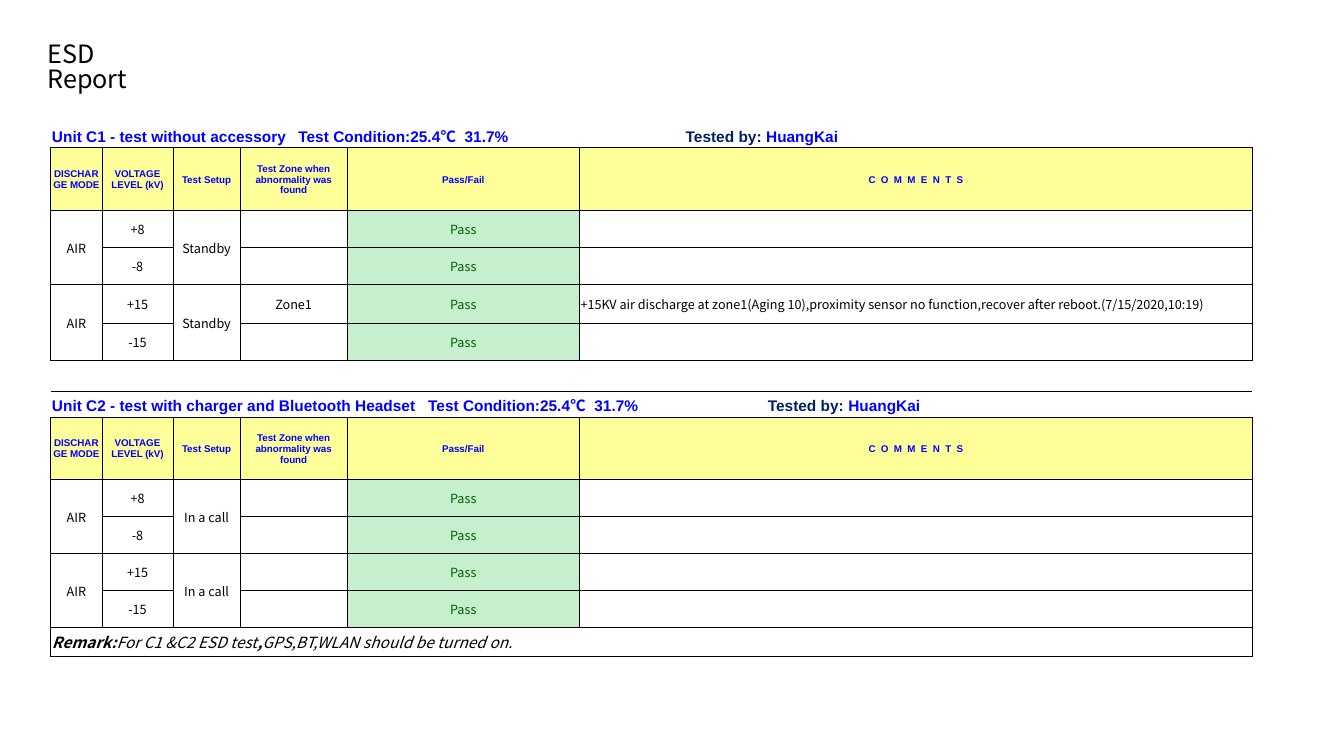
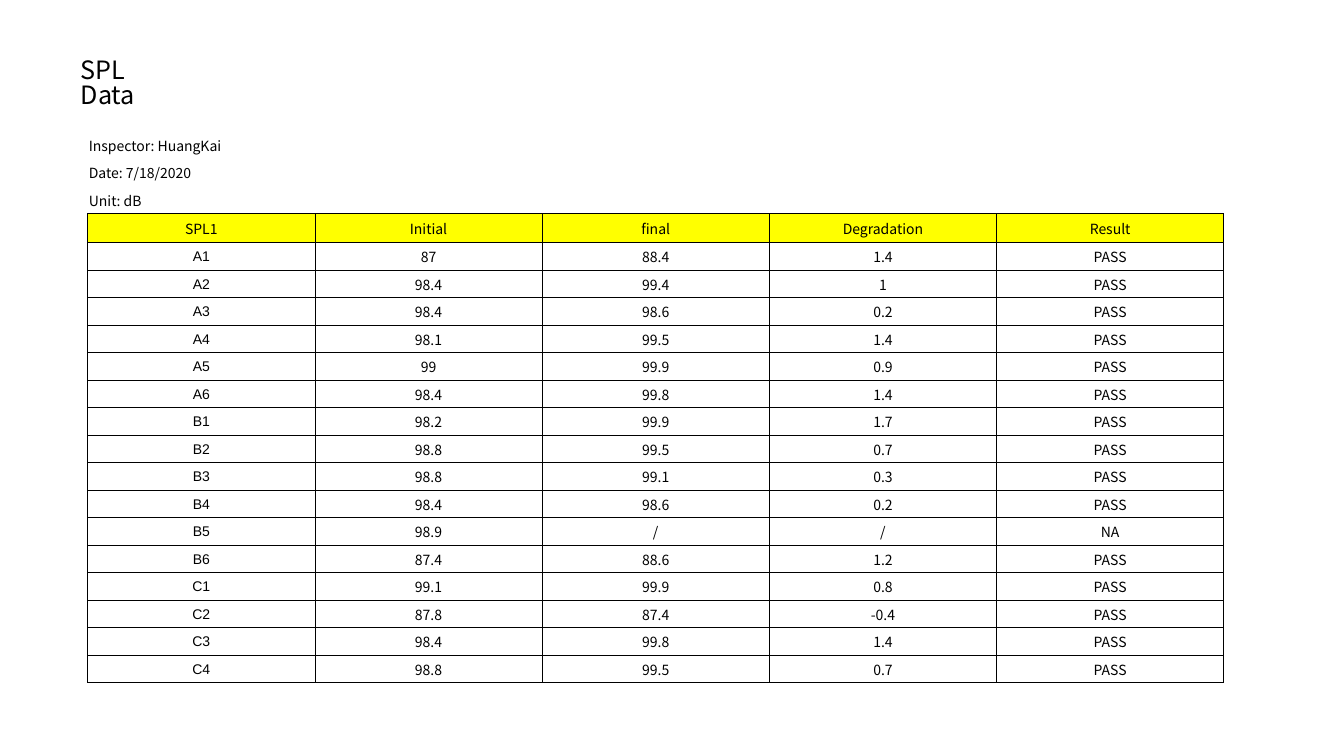
"""Build the ESD report and SPL data slides."""
from lxml.etree import SubElement
from pptx import Presentation
from pptx.dml.color import RGBColor
from pptx.enum.text import MSO_ANCHOR, MSO_AUTO_SIZE, PP_ALIGN
from pptx.oxml.ns import qn
from pptx.util import Cm, Pt

BLACK = RGBColor(0x00, 0x00, 0x00)
BLUE = RGBColor(0x00, 0x00, 0xFF)
NAVY = RGBColor(0x00, 0x20, 0x60)
GREEN = RGBColor(0x00, 0x61, 0x00)
MINT = RGBColor(0xC6, 0xEF, 0xCE)
CREAM = RGBColor(0xFF, 0xFF, 0x99)
YELLOW = RGBColor(0xFF, 0xFF, 0x00)
SANS, ARIAL = "Noto Sans CJK SC", "Arial"
PLAIN = "{2D5ABB26-0587-4C30-8999-92F81FD0307C}"

HEADS = ["DISCHARGE MODE", "VOLTAGE LEVEL (kV)", "Test Setup",
         "Test Zone when abnormality was found", "Pass/Fail",
         "C  O  M  M  E  N  T  S"]
LEVELS = ["+8", "-8", "+15", "-15"]
FAULT = ("+15KV air discharge at zone1(Aging 10),proximity sensor no function,"
         "recover after reboot.(7/15/2020,10:19)")
UNITS = [
    {"top": 0, "name": "Unit C1 - test without accessory", "setup": "Standby",
     "tabs": (6.21, 15.97), "found": {"+15": ("Zone1", FAULT)}},
    {"top": 7, "name": "Unit C2 - test with charger and Bluetooth Headset",
     "setup": "In a call", "tabs": (9.48, 18.04), "found": {}},
]
REMARK = [("Remark:", True), ("For C1 &C2 ESD test", False), (",", True),
          ("GPS,BT,WLAN should be turned on.", False)]
ESD_COLS = [1.29, 1.79, 1.69, 2.7, 5.85, 16.96]
ESD_ROWS = [0.64, 1.58, 0.93, 0.93, 0.98, 0.93, 0.8,
            0.64, 1.57, 0.93, 0.93, 0.93, 0.93, 0.73]

NOTES = ["Inspector: HuangKai", "Date: 7/18/2020", "Unit: dB"]
SPL = [
    ("SPL1", "Initial", "final", "Degradation", "Result"),
    ("A1", "87", "88.4", "1.4", "PASS"),
    ("A2", "98.4", "99.4", "1", "PASS"),
    ("A3", "98.4", "98.6", "0.2", "PASS"),
    ("A4", "98.1", "99.5", "1.4", "PASS"),
    ("A5", "99", "99.9", "0.9", "PASS"),
    ("A6", "98.4", "99.8", "1.4", "PASS"),
    ("B1", "98.2", "99.9", "1.7", "PASS"),
    ("B2", "98.8", "99.5", "0.7", "PASS"),
    ("B3", "98.8", "99.1", "0.3", "PASS"),
    ("B4", "98.4", "98.6", "0.2", "PASS"),
    ("B5", "98.9", "/", "/", "NA"),
    ("B6", "87.4", "88.6", "1.2", "PASS"),
    ("C1", "99.1", "99.9", "0.8", "PASS"),
    ("C2", "87.8", "87.4", "-0.4", "PASS"),
    ("C3", "98.4", "99.8", "1.4", "PASS"),
    ("C4", "98.8", "99.5", "0.7", "PASS"),
]
STEP = 11.09 / 16
SPL_COLS = [28.63 / 5] * 5
SPL_ROWS = [STEP] * 3 + [0.73] + [STEP] * 16


def write(para, text, size, name=SANS, color=BLACK, bold=False, slant=False):
    run = para.add_run()
    run.text = text
    font = run.font
    font.size, font.bold, font.italic = Pt(size), bold, slant
    font.color.rgb = color
    font.name = name
    SubElement(font._element, qn("a:ea"), typeface=name)


def start(deck, text, left, top):
    slide = deck.slides.add_slide(deck.slide_layouts[5])
    title = slide.shapes.title
    title.left, title.top = Cm(left), Cm(top)
    title.width, title.height = Cm(2.8), Cm(1.78)
    frame = title.text_frame
    frame.word_wrap = True
    frame.auto_size = MSO_AUTO_SIZE.NONE
    frame.vertical_anchor = MSO_ANCHOR.TOP
    para = frame.paragraphs[0]
    para.alignment = PP_ALIGN.LEFT
    para.line_spacing = 0.82
    write(para, text, 18)
    return slide


def border(cell, sides):
    props = cell._tc.get_or_add_tcPr()
    for side in sides:
        line = SubElement(props, qn("a:ln" + side), w=str(Pt(0.5)))
        fill = SubElement(line, qn("a:solidFill"))
        SubElement(fill, qn("a:srgbClr"), val=str(BLACK))


def grid(slide, left, top, cols, rows, edges):
    frame = slide.shapes.add_table(len(rows), len(cols), Cm(left), Cm(top),
                                   Cm(sum(cols)), Cm(sum(rows)))
    table = frame.table
    table.first_row = table.horz_banding = False
    table._tbl.tblPr.find(qn("a:tableStyleId")).text = PLAIN
    for col, width in zip(table.columns, cols):
        col.width = Cm(width)
    for i, (row, height) in enumerate(zip(table.rows, rows)):
        row.height = Cm(height)
        for cell in row.cells:
            cell.margin_left = cell.margin_right = cell.margin_top = Cm(0.03)
            cell.margin_bottom = 0
            cell.vertical_anchor = MSO_ANCHOR.MIDDLE
            border(cell, edges.get(i, "LRTB"))
            cell.fill.background()
            end = cell.text_frame.paragraphs[0]._p.get_or_add_endParaRPr()
            end.set("sz", "900")
    return table


def put(cell, text, size, fill=None, align=PP_ALIGN.CENTER, **style):
    if fill is not None:
        cell.fill.solid()
        cell.fill.fore_color.rgb = fill
    if text:
        para = cell.text_frame.paragraphs[0]
        para.alignment = align
        write(para, text, size, **style)


def span(table, row, col, last_row, last_col):
    cell = table.cell(row, col)
    cell.merge(table.cell(last_row, last_col))
    return cell


def caption(cell, unit):
    para = cell.text_frame.paragraphs[0]
    stops = SubElement(para._p.get_or_add_pPr(), qn("a:tabLst"))
    for stop in unit["tabs"]:
        SubElement(stops, qn("a:tab"), pos=str(Cm(stop)), algn="l")
    for text, name, color in [
            (unit["name"] + "\tTest Condition:25.4", ARIAL, BLUE),
            ("℃", SANS, BLUE), ("  31.7%\t", ARIAL, BLUE),
            ("Tested by: ", ARIAL, NAVY), ("HuangKai", ARIAL, BLUE)]:
        write(para, text, 11, name, color, bold=True)


def report(deck):
    slide = start(deck, "ESD Report", 0.94, 0.97)
    table = grid(slide, 1.28, 3.08, ESD_COLS, ESD_ROWS,
                 {0: "B", 6: "T", 7: "B"})
    for unit in UNITS:
        top = unit["top"]
        caption(span(table, top, 0, top, 5), unit)
        for col, head in enumerate(HEADS):
            put(table.cell(top + 1, col), head, 7, CREAM, name=ARIAL,
                color=BLUE, bold=True)
        for row, level in enumerate(LEVELS, top + 2):
            zone, note = unit["found"].get(level, ("", ""))
            put(table.cell(row, 1), level, 9)
            put(table.cell(row, 3), zone, 9)
            put(table.cell(row, 4), "Pass", 9, MINT, color=GREEN)
            put(table.cell(row, 5), note, 9, align=PP_ALIGN.LEFT)
        for row in (top + 2, top + 4):
            put(span(table, row, 0, row + 1, 0), "AIR", 9)
            put(span(table, row, 2, row + 1, 2), unit["setup"], 9)
    last = len(ESD_ROWS) - 1
    para = span(table, last, 0, last, 5).text_frame.paragraphs[0]
    for text, bold in REMARK:
        write(para, text, 11, bold=bold, slant=True)


def levels(deck):
    slide = start(deck, "SPL Data", 1.78, 1.37)
    table = grid(slide, 2.21, 3.3, SPL_COLS, SPL_ROWS, {0: "", 1: "", 2: "B"})
    for row, note in enumerate(NOTES):
        put(span(table, row, 0, row, 3), note, 10, align=PP_ALIGN.LEFT)
    for row, values in enumerate(SPL):
        for col, value in enumerate(values):
            put(table.cell(row + len(NOTES), col), value, 10,
                None if row else YELLOW,
                name=ARIAL if row and not col else SANS)


deck = Presentation()
deck.slide_width, deck.slide_height = Cm(33.87), Cm(19.05)
report(deck)
levels(deck)
deck.save("out.pptx")
